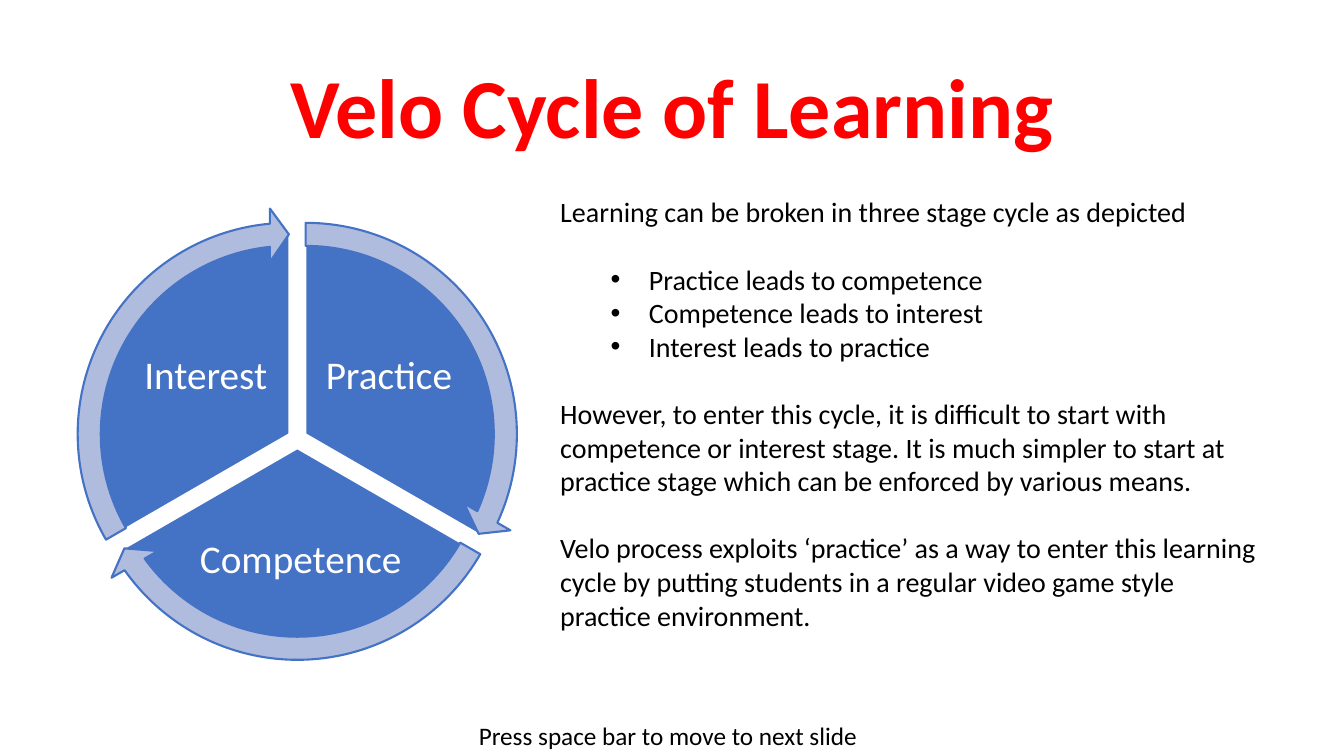
from dataclasses import dataclass
from math import cos, radians, sin

from lxml import etree
from pptx import Presentation
from pptx.dml.color import RGBColor
from pptx.enum.shapes import MSO_SHAPE
from pptx.enum.text import MSO_ANCHOR, MSO_AUTO_SIZE, PP_ALIGN
from pptx.oxml.ns import qn
from pptx.util import Inches, Pt

PIE, ARROW = MSO_SHAPE.PIE, MSO_SHAPE.CIRCULAR_ARROW
LEFT, CENTER = PP_ALIGN.LEFT, PP_ALIGN.CENTER
TOP, MIDDLE = MSO_ANCHOR.TOP, MSO_ANCHOR.MIDDLE
NO_AUTOFIT = MSO_AUTO_SIZE.NONE
TITLE_ONLY = 5
COLUMNS, ROWS = 160, 90  # square cells on a 16:9 slide
ANGLE_UNIT = 0.6  # adjustment value 1.0 stands for 5/3 degrees


@dataclass(frozen=True)
class Theme:
    font: str = "Calibri"
    title: str = "FF0000"
    text: str = "000000"
    light: str = "FFFFFF"
    sector: str = "4472C4"
    arrow: str = "B0BCDE"
    title_size: int = 60
    label_size: int = 28
    body_size: int = 20
    footer_size: int = 18
    paragraph_gap: int = 24


def add_text(frame, text, *, font, size, color, bold=False, align=LEFT,
             spacing=1.0, before=0, bullet=False, first=False):
    para = frame.paragraphs[0] if first else frame.add_paragraph()
    para.alignment, para.line_spacing = align, spacing
    para.space_before = Pt(before)
    span = para.add_run()
    span.text = text
    span.font.name, span.font.size, span.font.bold = font, Pt(size), bold
    span.font.color.rgb = RGBColor.from_string(color)
    if bullet:
        para.level = 1
        properties = para._p.get_or_add_pPr()
        properties.set("marL", str(Inches(0.88)))
        properties.set("indent", str(Inches(-0.38)))
        etree.SubElement(properties, qn("a:buFont")).set("typeface", "Arial")
        etree.SubElement(properties, qn("a:buChar")).set("char", "•")


class Page:
    def __init__(self, deck, theme):
        self.theme = theme
        self.slide = deck.slides.add_slide(deck.slide_layouts[TITLE_ONLY])
        self.cell_width = deck.slide_width / COLUMNS
        self.cell_height = deck.slide_height / ROWS

    def place(self, left, top, width, height):
        """Turn grid cells into slide lengths."""
        return (round(left * self.cell_width), round(top * self.cell_height),
                round(width * self.cell_width), round(height * self.cell_height))

    def title(self, text, *area):
        box = self.slide.shapes.title
        box.left, box.top, box.width, box.height = self.place(*area)
        frame = box.text_frame
        frame.auto_size, frame.vertical_anchor = NO_AUTOFIT, MIDDLE
        add_text(frame, text, font=self.theme.font, size=self.theme.title_size,
                 color=self.theme.title, bold=True, align=CENTER, spacing=0.9,
                 first=True)

    def text_box(self, area, anchor=TOP, inset=None):
        frame = self.slide.shapes.add_textbox(*self.place(*area)).text_frame
        frame.word_wrap, frame.vertical_anchor = True, anchor
        if inset is not None:
            frame.margin_left = frame.margin_right = Inches(inset)
            frame.margin_top = frame.margin_bottom = Inches(inset)
        return frame

    def label(self, text, middle, width, height):
        column, row = middle
        area = (column - width / 2, row - height / 2, width, height)
        add_text(self.text_box(area, MIDDLE, 0.04), text, font=self.theme.font,
                 size=self.theme.label_size, color=self.theme.light,
                 align=CENTER, spacing=0.9, first=True)

    def body(self, area, paragraphs):
        """Write (text, has bullet, starts a block) paragraphs."""
        frame = self.text_box(area)
        for index, (text, bullet, new_block) in enumerate(paragraphs):
            add_text(frame, text, font=self.theme.font,
                     size=self.theme.body_size, color=self.theme.text,
                     before=self.theme.paragraph_gap if new_block else 0,
                     bullet=bullet, first=index == 0)

    def footer(self, text, *area):
        add_text(self.text_box(area), text, font=self.theme.font,
                 size=self.theme.footer_size, color=self.theme.text,
                 align=CENTER, first=True)

    def round_shape(self, kind, center, diameter, adjustments, fill, line, weight):
        column, row = center
        shape = self.slide.shapes.add_shape(kind, *self.place(
            column - diameter / 2, row - diameter / 2, diameter, diameter))
        for index, value in enumerate(adjustments):
            shape.adjustments[index] = value
        shape.shadow.inherit = False
        shape.fill.solid()
        shape.fill.fore_color.rgb = RGBColor.from_string(fill)
        shape.line.color.rgb = RGBColor.from_string(line)
        shape.line.width = Pt(weight)

    def cycle(self, hub, drift, stages):
        """Draw equal sectors pushed away from the hub, then arrows around them."""
        theme, sweep, arrows = self.theme, 360 / len(stages), []
        for index, (text, *label_area) in enumerate(stages):
            start = (270 + index * sweep) % 360
            end = (start + sweep) % 360
            middle = radians(start + sweep / 2)
            center = (hub[0] + drift * cos(middle), hub[1] + drift * sin(middle))
            first, last = start * ANGLE_UNIT, end * ANGLE_UNIT
            self.round_shape(PIE, center, 48, (first, last),
                             theme.sector, theme.light, 1)
            self.label(text, *label_area)
            head = 3.275
            arrows.append((center, (0.051, head, last - head, first, 0.059)))
        for center, adjustments in arrows:
            self.round_shape(ARROW, center, 53.9, adjustments,
                             theme.arrow, theme.sector, 1.5)


def main():
    deck = Presentation()
    deck.slide_width, deck.slide_height = Inches(13.33), Inches(7.5)
    page = Page(deck, Theme())
    page.title("Velo Cycle of Learning", 11, 5.5, 138, 15.6)
    page.cycle((35.4, 52.25), 1.15, [
        ("Practice", (46.3, 44.9), 17.2, 14.3),
        ("Competence", (35.8, 66.8), 25.7, 12.6),
        ("Interest", (24.5, 44.9), 17.2, 14.3),
    ])
    page.body((65.5, 22.6, 85.3, 53.8), [
        ("Learning can be broken in three stage cycle as depicted", False, False),
        ("Practice leads to competence", True, True),
        ("Competence leads to interest", True, False),
        ("Interest leads to practice", True, False),
        ("However, to enter this cycle, it is difficult to start with competence "
         "or interest stage. It is much simpler to start at practice stage which "
         "can be enforced by various means.", False, True),
        ("Velo process exploits ‘practice’ as a way to enter this learning cycle "
         "by putting students in a regular video game style practice "
         "environment.", False, True),
    ])
    page.footer("Press space bar to move to next slide", 19, 85.2, 121, 4.8)
    deck.save("out.pptx")


if __name__ == "__main__":
    main()
